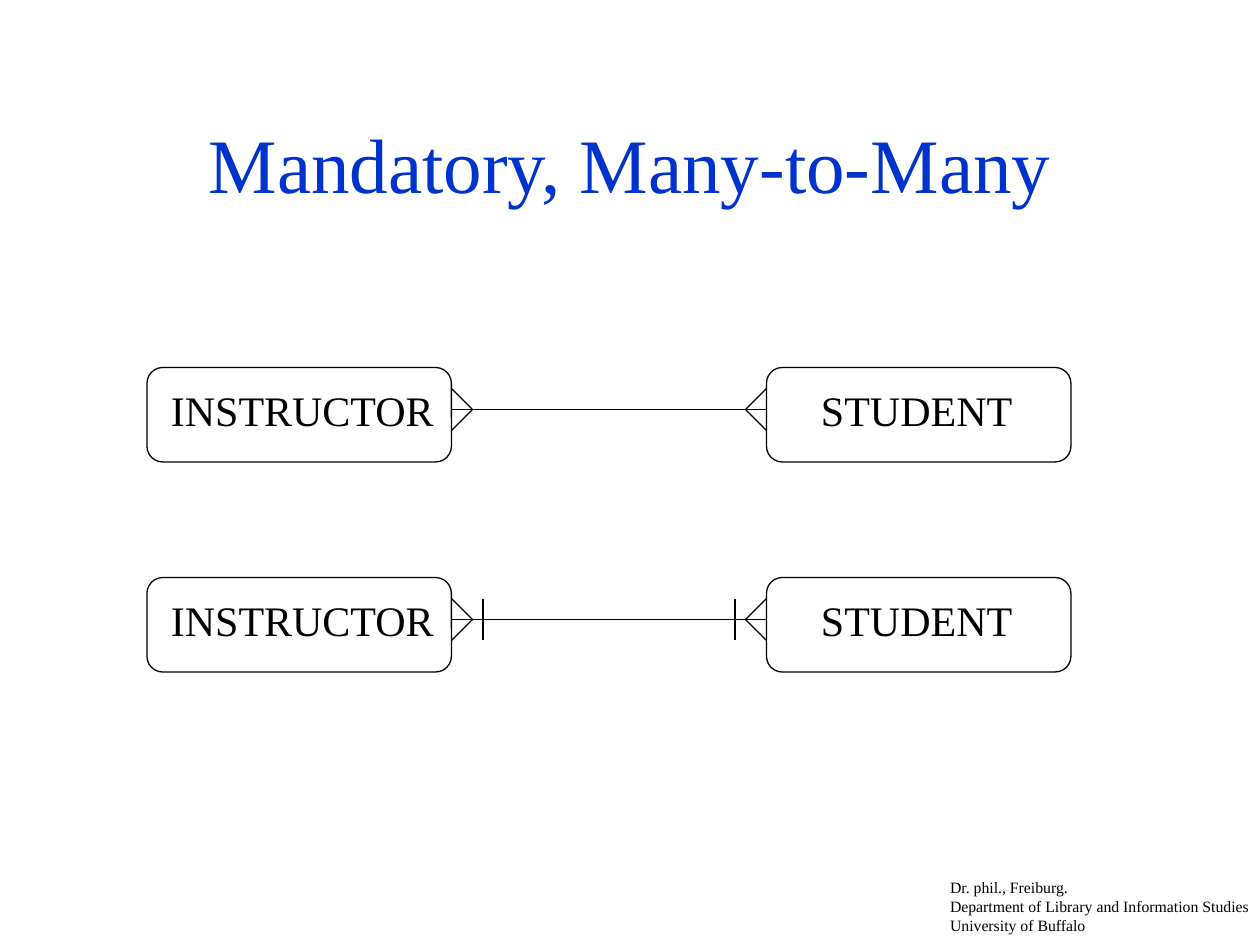
import pptx
import pptx.dml.color
import pptx.enum.shapes
import pptx.enum.text
import pptx.oxml.ns
import pptx.util
import lxml.etree

ALIGN = pptx.enum.text.PP_ALIGN
ANCHOR = pptx.enum.text.MSO_ANCHOR


def color(code):
    return pptx.dml.color.RGBColor.from_string(code)


def grid(*units):
    """Turn grid units, twelve to the inch, into lengths."""
    return [pptx.util.Inches(unit / 12) for unit in units]


class Diagram:
    font = "Times New Roman"
    ink = "000000"
    title_ink = "0033CC"
    line_width = pptx.util.Pt(0.75)

    def __init__(self, deck):
        self.page = deck.slides.add_slide(deck.slide_layouts[5])
        self.shapes = self.page.shapes

    def start_group(self):
        self.shapes = self.page.shapes.add_group_shape().shapes

    def add_lines(self, frame, lines, size, ink, align):
        para = frame.paragraphs[0]
        para.alignment = align
        for index, line in enumerate(lines):
            if index:
                para.add_line_break()
            span = para.add_run()
            span.text = line
            span.font.name = self.font
            span.font.size = pptx.util.Pt(size)
            span.font.color.rgb = color(ink)

    def title(self, words, *place):
        box = self.page.shapes.title
        box.left, box.top, box.width, box.height = grid(*place)
        box.text_frame.vertical_anchor = ANCHOR.MIDDLE
        self.add_lines(box.text_frame, [words], 44, self.title_ink,
                       ALIGN.CENTER)

    def text(self, lines, size, align, wrap, *place):
        box = self.shapes.add_textbox(*grid(*place))
        box.text_frame.word_wrap = wrap
        self.add_lines(box.text_frame, lines, size, self.ink, align)

    def entity(self, *place):
        box = self.shapes.add_shape(
            pptx.enum.shapes.MSO_SHAPE.ROUNDED_RECTANGLE, *grid(*place))
        box.adjustments[0] = 0.167
        box.shadow.inherit = False
        box.fill.background()
        self.outline(box)

    def line(self, *ends):
        link = self.shapes.add_connector(
            pptx.enum.shapes.MSO_CONNECTOR.STRAIGHT, *grid(*ends))
        self.outline(link)
        properties = link._element.spPr
        lxml.etree.SubElement(properties, pptx.oxml.ns.qn("a:effectLst"))

    def outline(self, shape):
        shape.line.color.rgb = color(self.ink)
        shape.line.width = self.line_width

    def relationship(self, top, mandatory):
        """Two entities joined by a line with a crow's foot at each end."""
        self.start_group()
        left_edge, right_edge, middle = 43, 73, top + 4
        for left in (14, right_edge):
            self.entity(left, top, 29, 9)
        for name, left, width in (("INSTRUCTOR", 15, 27.6),
                                  ("STUDENT", 77, 20.6)):
            self.text([name], 24, ALIGN.CENTER, False,
                      left, top + 1, width, 6)
        self.line(left_edge, middle, right_edge, middle)
        for edge, inward in ((left_edge, 1), (right_edge, -1)):
            for spread in (-2, 2):
                self.line(edge, middle + spread, edge + 2 * inward, middle)
            if mandatory:
                bar = edge + 3 * inward
                self.line(bar, middle - 2, bar, middle + 2)


# Deck
deck = pptx.Presentation()
deck.slide_width, deck.slide_height = grid(120, 90)
diagram = Diagram(deck)

# Footer and title
diagram.text(["Dr. phil., Freiburg.\u00a0",
              "Department of Library and Information Studies\u00a0",
              "University of Buffalo"],
             9, ALIGN.LEFT, True, 89.3, 83, 45.6, 8.5)
diagram.title("Mandatory, Many-to-Many", 9, 8, 102, 15)

# Relationships, without and with the mandatory bars
for top, mandatory in ((35, False), (55, True)):
    diagram.relationship(top, mandatory)

deck.save("out.pptx")
